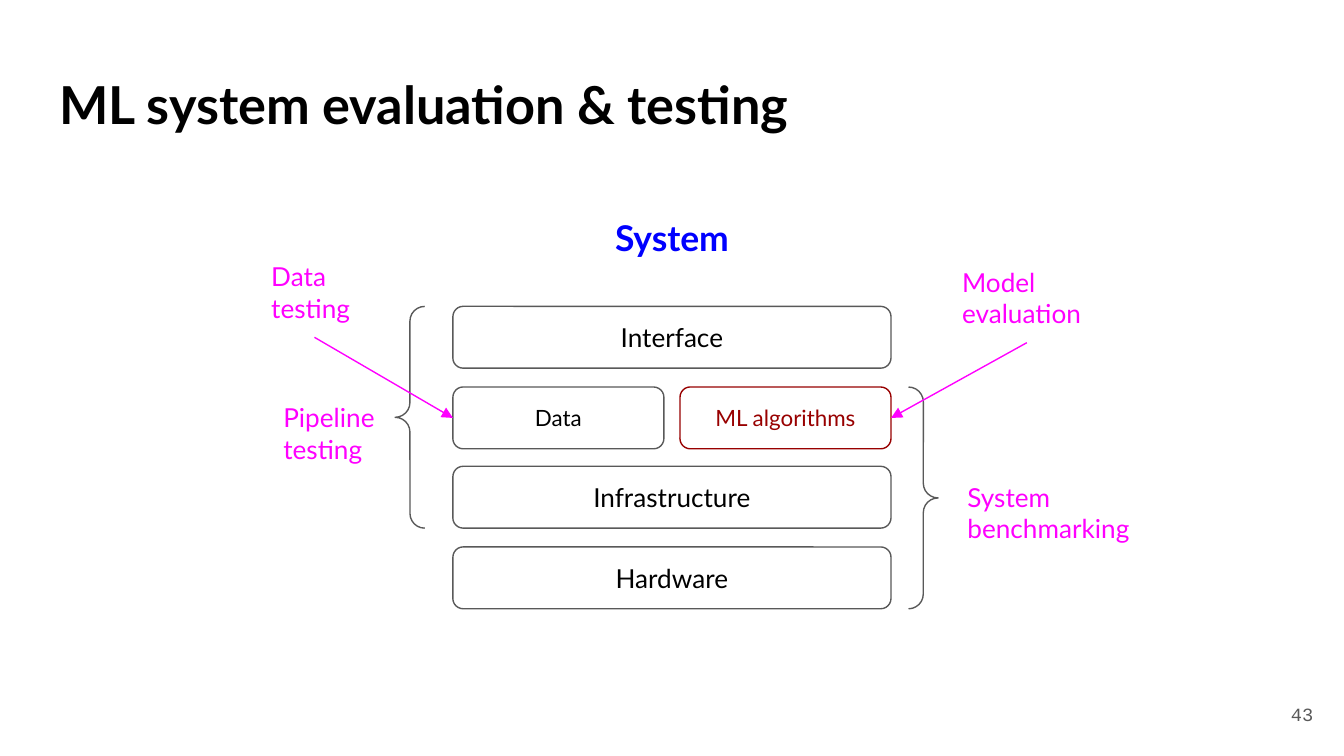
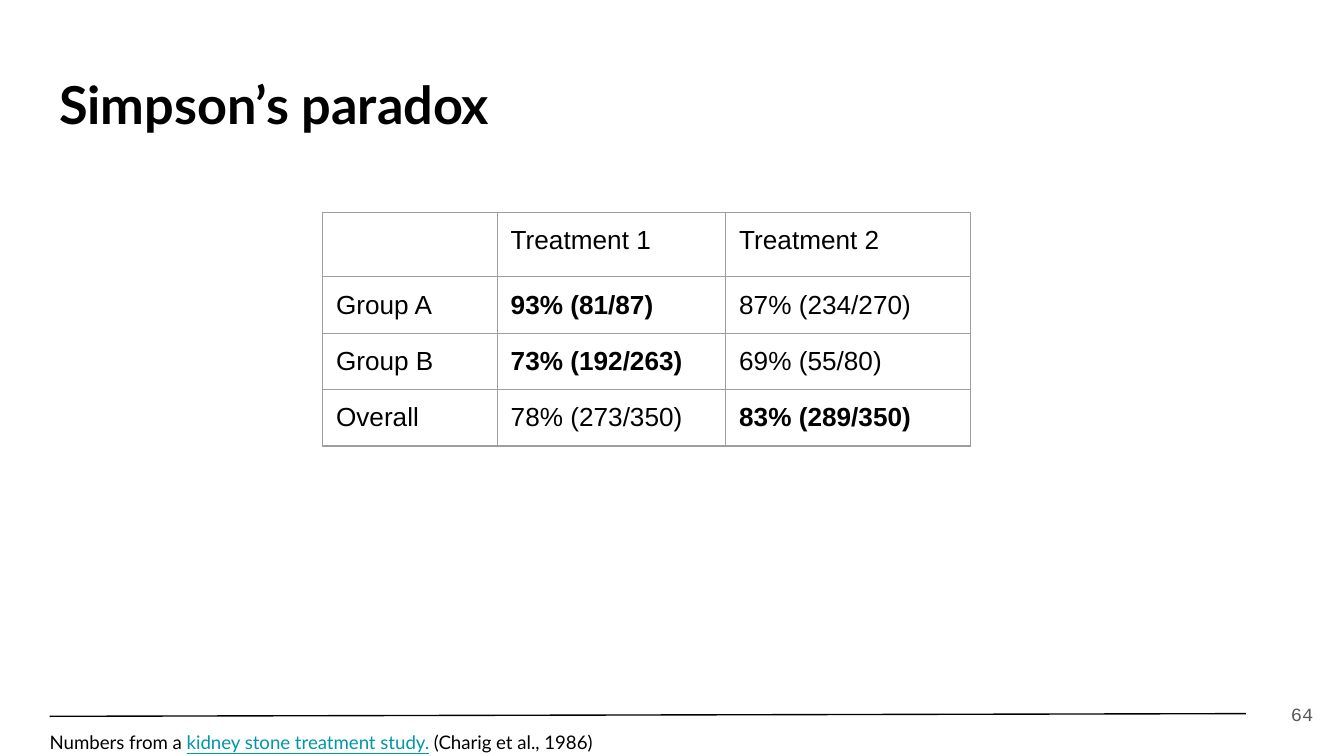
"""Build two lecture slides on system testing and Simpson's paradox."""
from dataclasses import dataclass
from typing import Any, NamedTuple

from lxml.etree import SubElement
from pptx import Presentation
from pptx.dml.color import RGBColor
from pptx.enum.shapes import MSO_CONNECTOR, MSO_SHAPE
from pptx.enum.text import MSO_ANCHOR, MSO_AUTO_SIZE, PP_ALIGN
from pptx.oxml.ns import qn
from pptx.util import Pt

PX = 9144
WIDTH = 1000 * PX
HEIGHT = WIDTH * 9 // 16
PAD = 10
THIN = Pt(0.75)
BLACK = RGBColor(0x00, 0x00, 0x00)
GREY = RGBColor(0x59, 0x59, 0x59)
RULE = RGBColor(0x9E, 0x9E, 0x9E)
RED = RGBColor(0x98, 0x00, 0x00)
BLUE = RGBColor(0x00, 0x00, 0xFF)
PINK = RGBColor(0xFF, 0x00, 0xFF)
TEAL = RGBColor(0x00, 0x97, 0xA7)


class Box(NamedTuple):
    left: int
    top: int
    width: int
    height: int


@dataclass(frozen=True)
class Face:
    size: int
    color: RGBColor = BLACK
    bold: bool = False
    name: str = "Lato"
    under: bool = False


@dataclass(frozen=True)
class Block:
    text: str
    row: int
    half: int = 0
    size: int = 14
    color: RGBColor = BLACK
    edge: RGBColor = GREY


@dataclass(frozen=True)
class Note:
    text: str
    box: Box


@dataclass(frozen=True)
class Brace:
    kind: MSO_SHAPE
    left: int
    row: int


class Line(NamedTuple):
    x1: int
    y1: int
    x2: int
    y2: int


HEAD = Face(28, bold=True)
LEFT, WIDE, TALL = 337, 326, 46
TOP, DROP = 228, 179
HALF, SHIFT = 157, 169
BLOCKS = (
    Block("Interface", 0),
    Block("Data", 1, 1, 12),
    Block("ML algorithms", 1, 2, 12, RED, RED),
    Block("Infrastructure", 2),
    Block("Hardware", 3),
)
BRACES = (Brace(MSO_SHAPE.LEFT_BRACE, 294, 0), Brace(MSO_SHAPE.RIGHT_BRACE, 676, 1))
NOTES = (
    Note("Data testing", Box(192, 184, 84, 67)),
    Note("Model evaluation", Box(706, 188, 116, 67)),
    Note("Pipeline testing", Box(201, 289, 92, 67)),
    Note("System benchmarking", Box(710, 348, 157, 67)),
)
ARROWS = (Line(764, 255, LEFT + WIDE, 311), Line(234, 251, LEFT, 311))
WIDTHS = (130, 170, 182)
ROWS = (
    ("", "Treatment 1", "Treatment 2"),
    ("Group A", "93% (81/87)", "87% (234/270)"),
    ("Group B", "73% (192/263)", "69% (55/80)"),
    ("Overall", "78% (273/350)", "83% (289/350)"),
)
BEST = {(1, 1), (2, 1), (3, 2)}


def emu(nums: tuple[int, ...]) -> list[int]:
    return [num * PX for num in nums]


def level(row: int) -> int:
    return round(DROP * row / 3)


def put(item: Any, form: dict[str, Any]) -> None:
    for key, val in form.items():
        setattr(item, key, val)


def pads(pad: int) -> dict[str, int]:
    return {f"margin_{side}": pad * PX for side in ("left", "top", "right", "bottom")}


def add_run(para: Any, text: str, face: Face) -> None:
    run = para.add_run()
    run.text = text
    put(run.font, {"name": face.name, "size": Pt(face.size),
                   "bold": face.bold, "underline": face.under})
    run.font.color.rgb = face.color


def write(shape: Any, text: str, face: Face, align: PP_ALIGN = PP_ALIGN.LEFT,
          anchor: MSO_ANCHOR = MSO_ANCHOR.TOP, grow: bool = False) -> None:
    fit = MSO_AUTO_SIZE.SHAPE_TO_FIT_TEXT if grow else MSO_AUTO_SIZE.NONE
    frame = shape.text_frame
    put(frame, {"word_wrap": True, "auto_size": fit,
                "vertical_anchor": anchor, **pads(PAD)})
    para = frame.paragraphs[0]
    para.alignment = align
    add_run(para, text, face)


def add_slide(deck: Any, title: str, page: int) -> Any:
    slide = deck.slides.add_slide(deck.slide_layouts[5])
    head = slide.shapes.title
    box = Box(34, 44, 932, 63)
    put(head, dict(zip(box._fields, emu(box))))
    write(head, title, HEAD)
    foot = slide.shapes.add_textbox(*emu((927, 510, 60, 43)))
    write(foot, str(page), Face(10, GREY, name="Courier New"),
          PP_ALIGN.RIGHT, MSO_ANCHOR.MIDDLE)
    return slide


def add_shape(slide: Any, kind: MSO_SHAPE, box: Box, edge: RGBColor) -> Any:
    shape = slide.shapes.add_shape(kind, *emu(box))
    shape.shadow.inherit = False
    shape.fill.background()
    shape.line.color.rgb = edge
    shape.line.width = THIN
    return shape


def add_block(slide: Any, block: Block) -> None:
    left = LEFT + (SHIFT if block.half == 2 else 0)
    box = Box(left, TOP + level(block.row), HALF if block.half else WIDE, TALL)
    shape = add_shape(slide, MSO_SHAPE.ROUNDED_RECTANGLE, box, block.edge)
    write(shape, block.text, Face(block.size, block.color),
          PP_ALIGN.CENTER, MSO_ANCHOR.MIDDLE)


def add_brace(slide: Any, brace: Brace) -> None:
    box = Box(brace.left, TOP + level(brace.row), 22, level(2) + TALL)
    shape = add_shape(slide, brace.kind, box, GREY)
    shape.adjustments[0] = 0.5


def add_line(slide: Any, line: Line, color: RGBColor, arrow: bool = False) -> None:
    link = slide.shapes.add_connector(MSO_CONNECTOR.STRAIGHT, *emu(line))
    link.line.color.rgb = color
    link.line.width = THIN
    props = link._element.spPr
    if arrow:
        SubElement(props.find(qn("a:ln")), qn("a:tailEnd"), type="triangle")
    SubElement(props, qn("a:effectLst"))


def add_edges(cell: Any) -> None:
    props = cell._tc.get_or_add_tcPr()
    for side in ("lnL", "lnR", "lnT", "lnB"):
        line = SubElement(props, qn(f"a:{side}"), w=str(int(THIN)))
        fill = SubElement(line, qn("a:solidFill"))
        SubElement(fill, qn("a:srgbClr"), val=str(RULE))


def add_grid(slide: Any) -> None:
    box = Box(240, 158, sum(WIDTHS), 42 * len(ROWS))
    grid = slide.shapes.add_table(len(ROWS), len(WIDTHS), *emu(box)).table
    put(grid, {"first_row": False, "horz_banding": False})
    for col, width in zip(grid.columns, WIDTHS):
        col.width = width * PX
    for row, texts in enumerate(ROWS):
        for col, text in enumerate(texts):
            cell = grid.cell(row, col)
            put(cell, pads(PAD))
            add_edges(cell)
            cell.fill.background()
            para = cell.text_frame.paragraphs[0]
            if text:
                add_run(para, text, Face(14, bold=(row, col) in BEST, name="Arial"))
            else:
                blank = SubElement(para._p, qn("a:endParaRPr"), sz="1800")
                SubElement(blank, qn("a:latin"), typeface="Arial")


def add_source(slide: Any) -> None:
    add_line(slide, Line(37, 533, 927, 531), BLACK)
    frame = slide.shapes.add_textbox(*emu((37, 538, 896, 25))).text_frame
    put(frame, {"word_wrap": True, **pads(0)})
    para = frame.paragraphs[0]
    para.line_spacing = 1.33
    plain = Face(10)
    add_run(para, "Numbers from a ", plain)
    add_run(para, "kidney stone treatment study.", Face(10, TEAL, under=True))
    add_run(para, " (Charig et al., 1986)", plain)


def draw_system(deck: Any) -> None:
    slide = add_slide(deck, "ML system evaluation & testing", 43)
    label = slide.shapes.add_textbox(*emu((442, 151, 116, 46)))
    write(label, "System", Face(19, BLUE, True), PP_ALIGN.CENTER)
    for block in BLOCKS:
        add_block(slide, block)
    for brace in BRACES:
        add_brace(slide, brace)
    for note in NOTES:
        shape = slide.shapes.add_textbox(*emu(note.box))
        write(shape, note.text, Face(14, PINK), grow=True)
    for arrow in ARROWS:
        add_line(slide, arrow, PINK, True)


def draw_study(deck: Any) -> None:
    slide = add_slide(deck, "Simpson’s paradox", 64)
    add_grid(slide)
    add_source(slide)


def main() -> None:
    deck = Presentation()
    put(deck, {"slide_width": WIDTH, "slide_height": HEIGHT})
    draw_system(deck)
    draw_study(deck)
    deck.save("out.pptx")


if __name__ == "__main__":
    main()
